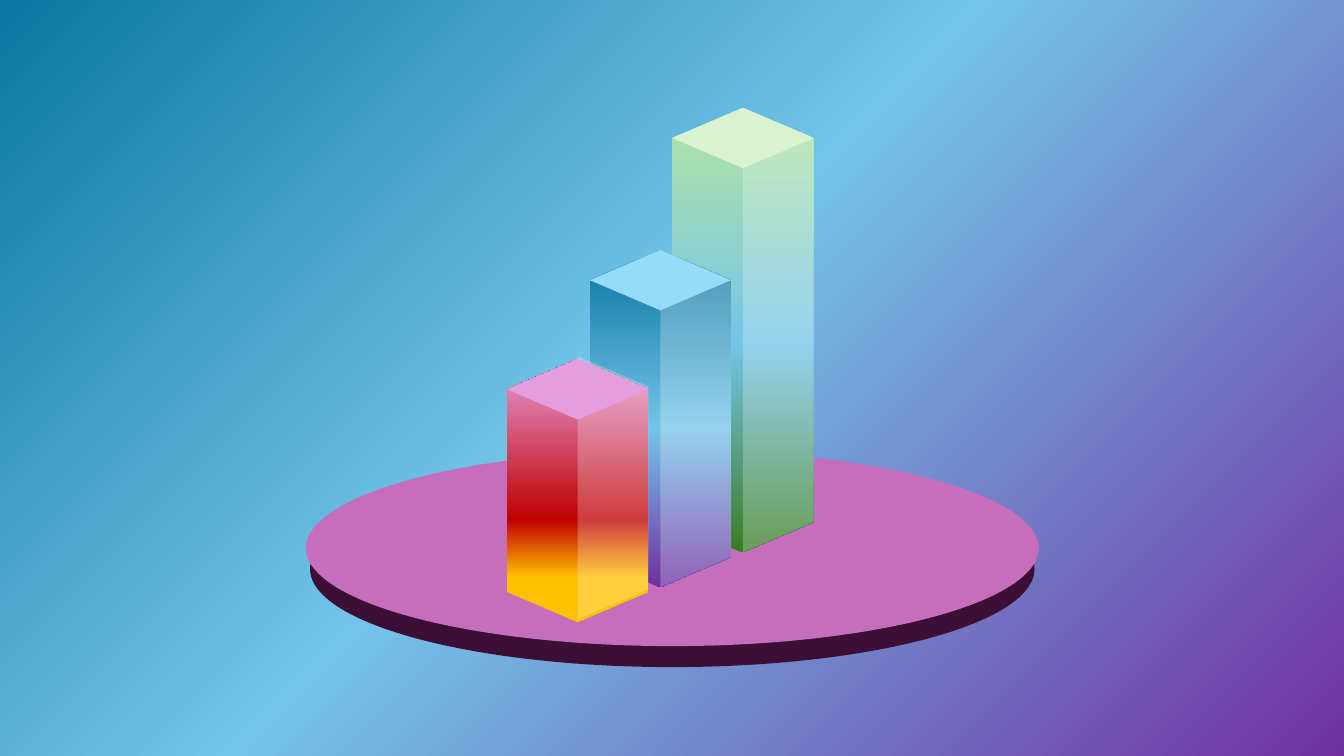
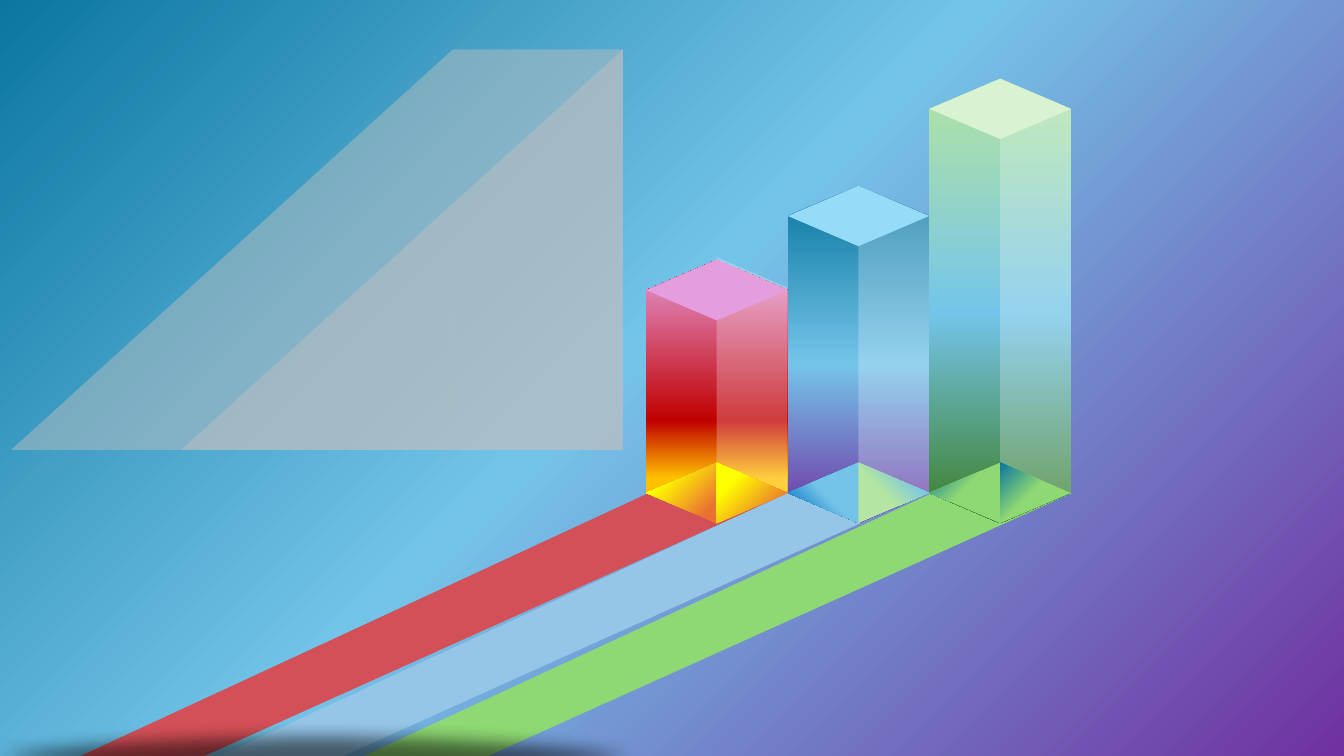
from lxml import etree
from pptx import Presentation
from pptx.dml.color import RGBColor
from pptx.enum.shapes import MSO_SHAPE
from pptx.oxml.ns import qn
from pptx.util import Pt

RECTANGLE = MSO_SHAPE.RECTANGLE
TRIANGLE = MSO_SHAPE.RIGHT_TRIANGLE
DIAMOND = MSO_SHAPE.DIAMOND
OVAL = MSO_SHAPE.OVAL

COLORS = {
    "purple": "7030A0", "sky": "74C4E9", "teal": "0B76A0", "white": "FFFFFF",
    "black": "000000", "grey": "BFBFBF", "disk": "C66DBB", "rim": "3B0F36",
    "amber": "FFC000", "red": "C00000", "pink": "E59EDD", "orange": "E97132",
    "yellow": "FFFF00", "rose": "D45058", "ice": "96DCF8", "azure": "0070C0",
    "pale blue": "95C6E8", "mint": "B4E5A2", "forest": "3B7D23",
    "pale green": "D9F2D0", "lime": "8ED973",
}

# A gradient is (clockwise angle, [(position in percent, colour name), ...]).
BACKDROP = (225, [(0, "purple"), (53, "sky"), (100, "teal")])
EMBERS = (225, [(16, "orange"), (74, "yellow")])
MEADOW = (225, [(53, "lime"), (100, "teal")])

COLUMNS = {
    "red": {
        "height": 188, "cap": "pink", "shade_lift": 2,
        "body": (270, [(17, "amber"), (39, "red"), (100, "pink")]),
        "base": (EMBERS, EMBERS), "ribbon": "rose", "ribbon_shift": 2,
    },
    "blue": {
        "height": 241, "cap": "ice", "shade_lift": 0,
        "body": (90, [(1, "teal"), (53, "sky"), (100, "purple")]),
        "base": ((315, [(8, "azure"), (51, "sky")]),
                 (315, [(42, "mint"), (79, "sky")])),
        "ribbon": "pale blue", "ribbon_shift": 0,
    },
    "green": {
        "height": 317.5, "cap": "pale green", "shade_lift": 0,
        "body": (90, [(0, "mint"), (53, "sky"), (100, "forest")]),
        "base": (MEADOW, MEADOW), "ribbon": "lime", "ribbon_shift": 2,
    },
}
COLUMN_WIDTH = 101
CAP_HEIGHT = 43.2


def set_gradient(fill, element, gradient):
    """Give the fill found inside element any number of colour stops."""
    angle, stops = gradient
    fill.gradient()
    fill.gradient_angle = 360 - angle
    stop_list = next(element.iter(qn("a:gsLst")))
    for stop in list(stop_list):
        stop_list.remove(stop)
    for position, name in stops:
        stop = etree.SubElement(stop_list, qn("a:gs"), pos=str(position * 1000))
        etree.SubElement(stop, qn("a:srgbClr"), val=COLORS[name])


def paint(shape, color, opacity=100):
    """Fill with a colour name or a gradient, without line or shadow."""
    shape.shadow.inherit = False
    shape.line.fill.background()
    if isinstance(color, tuple):
        set_gradient(shape.fill, shape._element.spPr, color)
        return
    shape.fill.solid()
    shape.fill.fore_color.rgb = RGBColor.from_string(COLORS[color])
    if opacity < 100:
        tint = next(shape._element.spPr.iter(qn("a:srgbClr")))
        etree.SubElement(tint, qn("a:alpha"), val=str(opacity * 1000))


def add_preset(shapes, kind, box, color, opacity=100):
    shape = shapes.add_shape(kind, *(Pt(length) for length in box))
    paint(shape, color, opacity)
    return shape


def add_polygon(shapes, points, color, opacity=100):
    start, *others = [(Pt(x), Pt(y)) for x, y in points]
    builder = shapes.build_freeform(*start)
    builder.add_line_segments(others, close=True)
    paint(builder.convert_to_shape(), color, opacity)


def add_column(page, left, bottom, style, with_base=False):
    shapes = page.shapes.add_group_shape().shapes
    top = bottom - style["height"]
    middle, right = left + COLUMN_WIDTH / 2, left + COLUMN_WIDTH
    shoulder, foot = top + CAP_HEIGHT / 2, bottom - CAP_HEIGHT / 2

    right_half = [(middle, top), (right, shoulder), (right, foot), (middle, bottom)]
    add_polygon(shapes, right_half + [(left, foot), (left, shoulder)], style["body"])
    lifted = [(x, y - style["shade_lift"]) for x, y in right_half]
    add_polygon(shapes, lifted, "white", 24)
    if with_base:
        for side, gradient in zip((left, right), style["base"]):
            corners = [(middle, bottom - CAP_HEIGHT), (middle, bottom), (side, foot)]
            add_polygon(shapes, corners, gradient)
    add_preset(shapes, DIAMOND, (left, top, COLUMN_WIDTH, CAP_HEIGHT), style["cap"])


def add_ribbon(page, left, top, style):
    """Draw the flat band that runs from a column to the lower slide edge."""
    left += style["ribbon_shift"]
    end = left - 406
    points = [(left, top), (left + 100, top), (end + 88.5, 540), (end, 540)]
    add_polygon(page.shapes, points, style["ribbon"])


def add_disk(page, left, top, width, height):
    add_preset(page.shapes, OVAL, (left + 3, top + 15, width - 6, height), "rim")
    add_preset(page.shapes, OVAL, (left, top, width, height), "disk")


def add_panel(page, left, top, width, height):
    """Draw the translucent slanted panel, with a second triangle over it."""
    slope = 315.5
    strip = width - slope
    add_preset(page.shapes, RECTANGLE, (left + slope, top, strip, height), "grey", 47)
    for offset in (strip, 0):
        box = (left + offset, top, slope, height)
        wedge = add_preset(page.shapes, TRIANGLE, box, "grey", 47)
        wedge._element.spPr.find(qn("a:xfrm")).set("flipH", "1")


def add_soft_shadow(page, left, top, width, height):
    oval = add_preset(page.shapes, OVAL, (left, top, width, height), "black", 54)
    effects = oval._element.spPr.find(qn("a:effectLst"))
    etree.SubElement(effects, qn("a:softEdge"), rad=str(Pt(12.5)))


def build_disk_slide(page):
    add_disk(page, 218.5, 321.5, 523.5, 140)
    for step, name in enumerate(("green", "blue", "red")):
        add_column(page, 480.2 - 59 * step, 394.5 + 25 * step, COLUMNS[name])


def build_ribbon_slide(page):
    bottom = 373.7
    lefts = {name: 461.5 + 101.2 * i for i, name in enumerate(COLUMNS)}
    for name in ("red", "green", "blue"):
        add_ribbon(page, lefts[name], bottom - CAP_HEIGHT / 2, COLUMNS[name])
    for name in ("blue", "red", "green"):
        add_column(page, lefts[name], bottom, COLUMNS[name], with_base=True)
    add_soft_shadow(page, -41, 514, 530.5, 52.5)
    add_panel(page, 8, 35.3, 437, 286)


def main():
    deck = Presentation()
    deck.slide_width, deck.slide_height = Pt(960), Pt(540)
    master = deck.slide_master
    set_gradient(master.background.fill, master._element, BACKDROP)
    for build in (build_disk_slide, build_ribbon_slide):
        build(deck.slides.add_slide(deck.slide_layouts[6]))
    deck.save("out.pptx")


if __name__ == "__main__":
    main()
